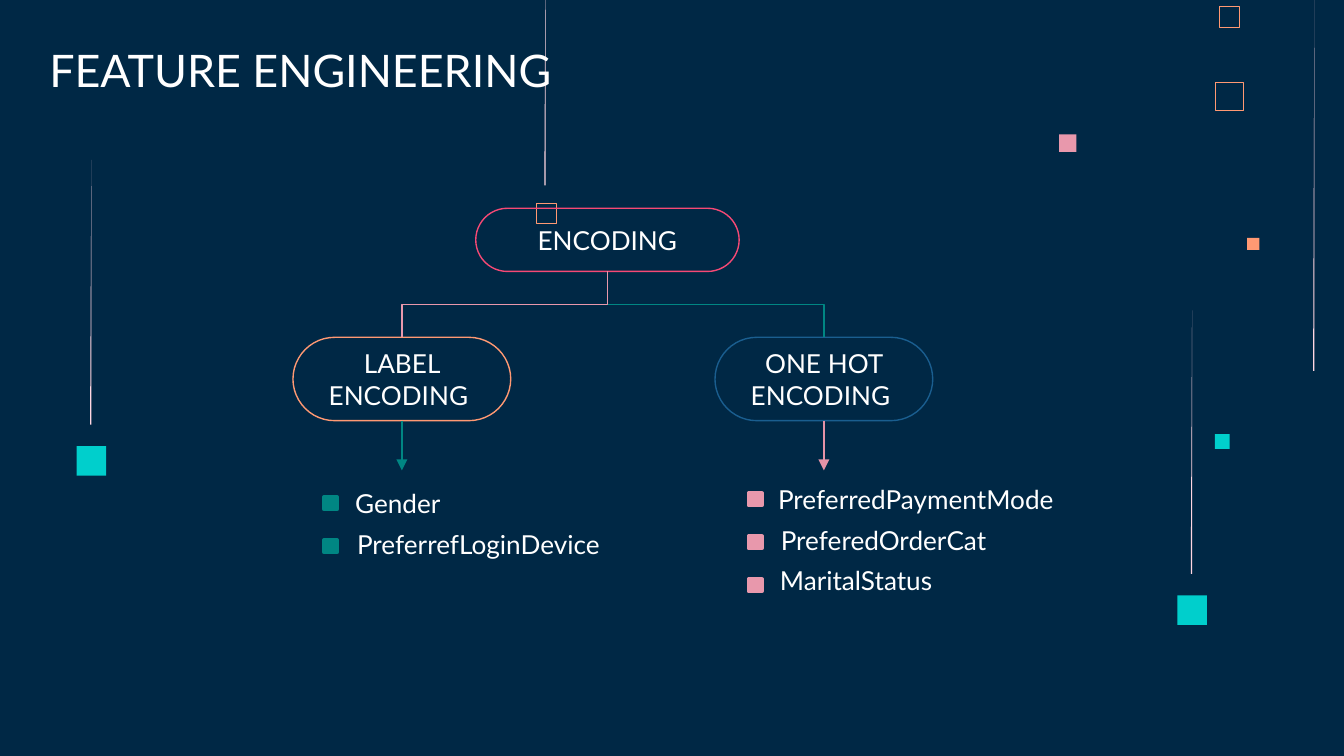
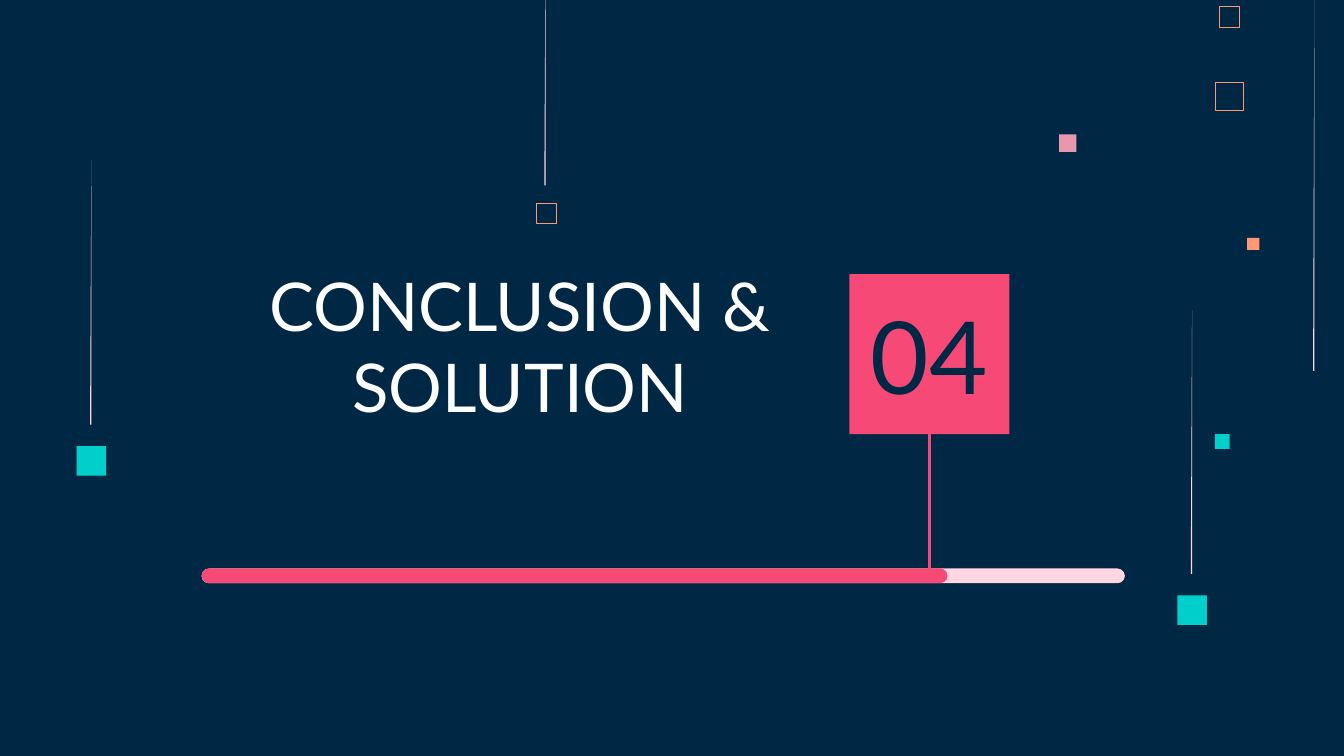
from dataclasses import dataclass

from lxml import etree
from pptx import Presentation
from pptx.dml.color import RGBColor
from pptx.enum.shapes import MSO_CONNECTOR, MSO_SHAPE
from pptx.enum.text import MSO_ANCHOR, MSO_AUTO_SIZE, PP_ALIGN
from pptx.oxml.ns import qn
from pptx.util import Inches, Pt

RECTANGLE = MSO_SHAPE.RECTANGLE
ROUNDED = MSO_SHAPE.ROUNDED_RECTANGLE
STRAIGHT, ELBOW = MSO_CONNECTOR.STRAIGHT, MSO_CONNECTOR.ELBOW
TOP, MIDDLE, BOTTOM = MSO_ANCHOR.TOP, MSO_ANCHOR.MIDDLE, MSO_ANCHOR.BOTTOM
CENTER = PP_ALIGN.CENTER
NO_AUTOFIT = MSO_AUTO_SIZE.NONE
SIDE_TOP, SIDE_BOTTOM = 0, 2
TITLE_ONLY = 5


@dataclass(frozen=True)
class Theme:
    font: str = "Lato"
    navy: str = "002845"
    white: str = "FFFFFF"
    pink: str = "E898AC"
    arrow_pink: str = "E593A7"
    pale_pink: str = "FFD6E1"
    rose: str = "F64975"
    orange: str = "FF9973"
    aqua: str = "00CFCC"
    teal: str = "008683"
    blue: str = "1A5E8F"
    body_size: float = 14
    title_size: float = 24
    section_size: float = 36
    number_size: float = 54
    thin_line: float = 0.75
    marker_line: float = 2
    stem_line: float = 1.5


THEME = Theme()


@dataclass(frozen=True)
class Box:
    left: float
    top: float
    width: float
    height: float

    @property
    def center(self):
        return self.left + self.width / 2

    @property
    def bottom(self):
        return self.top + self.height

    def inner(self, left, top, width, height):
        """Return a box whose offset is measured from this box."""
        return Box(self.left + left, self.top + top, width, height)

    def emu(self):
        return [Inches(value) for value in
                (self.left, self.top, self.width, self.height)]


def color(value):
    return RGBColor.from_string(value)


def write_text(shape, text, size, anchor=MIDDLE, margin=0.1, text_color=THEME.white):
    frame = shape.text_frame
    frame.text = text
    frame.word_wrap = True
    frame.auto_size = NO_AUTOFIT
    frame.vertical_anchor = anchor
    frame.margin_left = frame.margin_right = Inches(0.1)
    frame.margin_top = frame.margin_bottom = Inches(margin)
    paragraph = frame.paragraphs[0]
    paragraph.alignment = CENTER
    for run in paragraph.runs:
        run.font.name = THEME.font
        run.font.size = Pt(size)
        run.font.color.rgb = color(text_color)


def paint(shape, fill=None, line=None, width=THEME.thin_line):
    shape.shadow.inherit = False
    if fill:
        shape.fill.solid()
        shape.fill.fore_color.rgb = color(fill)
    else:
        shape.fill.background()
    if line:
        shape.line.color.rgb = color(line)
        shape.line.width = Pt(width)
    else:
        shape.line.fill.background()


def add_block(slide, box, kind=RECTANGLE, **style):
    shape = slide.shapes.add_shape(kind, *box.emu())
    if kind == ROUNDED:
        shape.adjustments[0] = 0.5
    paint(shape, **style)
    return shape


def add_text(slide, box, text, size, **style):
    write_text(slide.shapes.add_textbox(*box.emu()), text, size, **style)


def add_line(slide, start, end, line, width=THEME.thin_line, kind=STRAIGHT, arrow=False):
    points = [Inches(value) for value in (*start, *end)]
    connector = slide.shapes.add_connector(kind, *points)
    connector.line.color.rgb = color(line)
    connector.line.width = Pt(width)
    properties = connector.element.spPr
    etree.SubElement(properties, qn("a:effectLst"))
    if arrow:
        etree.SubElement(properties.find(qn("a:ln")), qn("a:tailEnd"), type="triangle")
    return connector


def add_title(slide, box, text, size):
    title = slide.shapes.title
    title.left, title.top, title.width, title.height = box.emu()
    write_text(title, text, size, BOTTOM)


def add_streak(slide, right, top, bottom):
    """Draw a sliver that widens from a point at its top."""
    builder = slide.shapes.build_freeform(Inches(right), Inches(top))
    builder.add_line_segments([(Inches(right - 0.01), Inches(bottom)),
                               (Inches(right), Inches(bottom))], close=True)
    paint(builder.convert_to_shape(), fill=THEME.pale_pink)


def decorate_master(presentation, slide):
    """Draw the squares and streaks on a slide, then move them to the master."""
    solid_squares = [(7.88, 1, 0.13, THEME.pink), (9.04, 3.23, 0.11, THEME.aqua),
                     (9.28, 1.77, 0.09, THEME.orange), (8.76, 4.43, 0.22, THEME.aqua),
                     (0.57, 3.32, 0.22, THEME.aqua)]
    open_squares = [(9.04, 0.61, 0.21, 0.45), (9.07, 0.05, 0.15, 0.32),
                    (3.99, 1.51, 0.15, 0.32)]
    streaks = [(4.06, -0.48, 1.38), (9.78, 0, 2.76), (8.87, 2.31, 4.27), (0.68, 1.19, 3.16)]
    existing = len(slide.shapes)
    for left, top, side, fill in solid_squares:
        add_block(slide, Box(left, top, side, side), fill=fill)
    for left, top, side, width in open_squares:
        add_block(slide, Box(left, top, side, side), line=THEME.orange, width=width)
    for streak in streaks:
        add_streak(slide, *streak)
    master_tree = presentation.slide_master.element.cSld.spTree
    for shape in list(slide.shapes)[existing:]:
        master_tree.append(shape.element)


def add_pill(slide, box, text, line):
    pill = add_block(slide, box, ROUNDED, line=line)
    write_text(pill, text, THEME.body_size)
    return pill


def add_branch(slide, parent, parent_box, child, child_box, line):
    """Join parent to child with an elbow that leaves and arrives vertically."""
    start = (parent_box.center, parent_box.bottom)
    end = (child_box.center, child_box.top)
    branch = add_line(slide, start, end, line, kind=ELBOW)
    branch.begin_connect(parent, SIDE_BOTTOM)
    branch.end_connect(child, SIDE_TOP)
    across, down = abs(end[0] - start[0]), end[1] - start[1]
    middle_x, middle_y = (start[0] + end[0]) / 2, (start[1] + end[1]) / 2
    turned = Box(middle_x - down / 2, middle_y - across / 2, down, across)
    branch.left, branch.top, branch.width, branch.height = turned.emu()
    goes_right = end[0] > start[0]
    transform = branch.element.spPr.xfrm
    transform.rot = 270 if goes_right else 90
    transform.flipH = goes_right
    transform.flipV = False


def add_feature_list(slide, box, features, marker_color):
    for index, (text, width) in enumerate(features):
        add_text(slide, box.inner(0, 0.3 * index, width, 0.34), text,
                 THEME.body_size, anchor=TOP, margin=0.05)
        add_block(slide, box.inner(0.06, 0.12 + 0.32 * index, 0.1, 0.09),
                  fill=marker_color, line=marker_color, width=THEME.marker_line)


def add_encoding_tree(slide, box):
    root_box = box.inner(1.36, 0, 1.96, 0.47)
    root = add_pill(slide, root_box, "ENCODING", THEME.rose)
    methods = [
        ("ONE HOT ENCODING ", 3.14, THEME.blue, THEME.teal, THEME.arrow_pink, THEME.pink,
         (3.33, 2), [("PreferredPaymentMode", 2.61), ("PreferedOrderCat", 2.13),
                     ("MaritalStatus", 1.72)]),
        ("LABEL ENCODING ", 0, THEME.orange, THEME.pink, THEME.teal, THEME.teal,
         (0.17, 2.03), [("Gender", 1.22), ("PreferrefLoginDevice", 2.42)]),
    ]
    for text, left, outline, branch, arrow_color, marker, offset, features in methods:
        pill_box = box.inner(left, 0.96, 1.62, 0.62)
        pill = add_pill(slide, pill_box, text, outline)
        add_branch(slide, root, root_box, pill, pill_box, branch)
        arrow = add_line(slide, (pill_box.center, pill_box.bottom),
                         (pill_box.center, box.top + 1.95), arrow_color, arrow=True)
        arrow.begin_connect(pill, SIDE_BOTTOM)
        add_feature_list(slide, box.inner(*offset, 2.61, 0.94), features, marker)


def add_progress(slide, box, number):
    """Draw the section number on a stem above its progress bar."""
    badge_box = box.inner(4.82, 0, 1.19, 1.19)
    badge = add_block(slide, badge_box, fill=THEME.rose)
    add_text(slide, badge_box.inner(0.06, 0.28, 1.07, 0.63), number,
             THEME.number_size, text_color=THEME.navy)
    for width, fill in ((box.width, THEME.pale_pink), (5.55, THEME.rose)):
        add_block(slide, box.inner(0, box.height - 0.11, width, 0.11), ROUNDED, fill=fill)
    stem = add_line(slide, (badge_box.center, badge_box.bottom),
                    (badge_box.center, box.bottom - 0.04), THEME.rose, THEME.stem_line)
    stem.begin_connect(badge, SIDE_BOTTOM)


def build_feature_slide(slide):
    add_title(slide, Box(-0.09, 0, 4.65, 0.82), "FEATURE ENGINEERING", THEME.title_size)
    add_encoding_tree(slide, Box(2.18, 1.55, 5.95, 2.94))


def build_section_slide(slide):
    add_title(slide, Box(1.8, 2.35, 4.14, 0.92), "CONCLUSION & SOLUTION",
              THEME.section_size)
    add_progress(slide, Box(1.5, 2.04, 6.87, 2.3), "04")


def main():
    presentation = Presentation()
    presentation.slide_width = Inches(10)
    presentation.slide_height = Inches(10) * 9 // 16
    background = presentation.slide_master.background.fill
    background.solid()
    background.fore_color.rgb = color(THEME.navy)
    layout = presentation.slide_layouts[TITLE_ONLY]
    feature_slide = presentation.slides.add_slide(layout)
    decorate_master(presentation, feature_slide)
    build_feature_slide(feature_slide)
    build_section_slide(presentation.slides.add_slide(layout))
    presentation.save("out.pptx")


if __name__ == "__main__":
    main()
